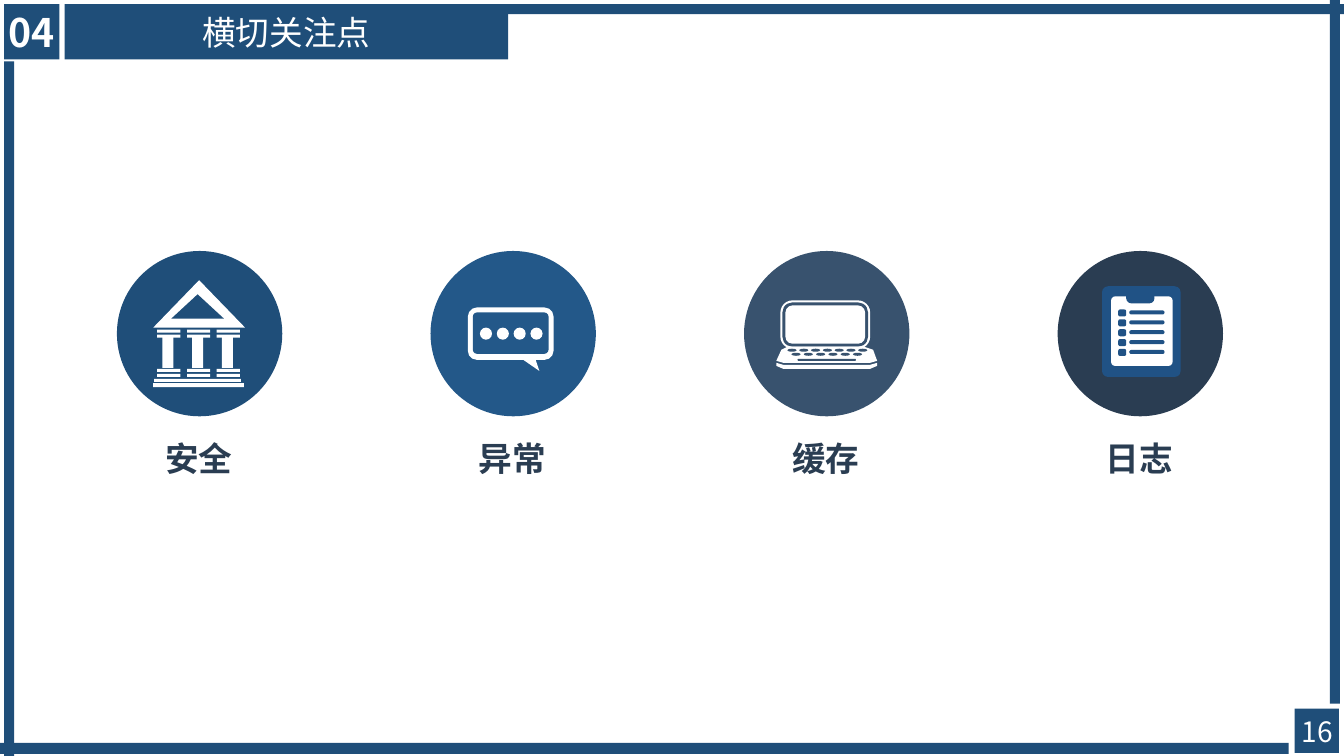
from dataclasses import dataclass
from typing import Any

from lxml.etree import SubElement
from pptx import Presentation
from pptx.dml.color import RGBColor
from pptx.enum.shapes import MSO_SHAPE as SHAPE
from pptx.enum.text import MSO_ANCHOR as ANCHOR, MSO_AUTO_SIZE as AUTO, PP_ALIGN as ALIGN
from pptx.oxml.ns import qn
from pptx.util import Inches, Pt

CELL = Inches(0.01)  # the slide is a grid of 1333 x 750 cells
COLS, ROWS = 1333, 750
FONT = "Noto Sans CJK SC"

NAVY = RGBColor(0x1F, 0x4E, 0x79)
BLUE = RGBColor(0x23, 0x58, 0x89)
SLATE = RGBColor(0x38, 0x52, 0x6E)
INK = RGBColor(0x2A, 0x3D, 0x52)
BOARD = RGBColor(0x20, 0x52, 0x85)
WHITE = RGBColor(0xFF, 0xFF, 0xFF)

CIRCLE, CIRCLE_TOP, LABEL_TOP = 164, 249, 430
FIRST_COL, COL_STEP, LABEL_INDENT = 116, 311, 38


def cells(*counts):
    return [round(n * CELL) for n in counts]


def paint(shape, color):
    shape.shadow.inherit = False
    shape.fill.solid()
    shape.fill.fore_color.rgb = color
    shape.line.fill.background()
    return shape


@dataclass
class Pen:
    """Draws filled shapes, in cells counted from the corner (left, top)."""
    shapes: Any
    left: float = 0
    top: float = 0

    def shape(self, kind, x, y, w, h, color):
        box = cells(self.left + x, self.top + y, w, h)
        return paint(self.shapes.add_shape(kind, *box), color)

    def rect(self, *box_color):
        return self.shape(SHAPE.RECTANGLE, *box_color)

    def oval(self, *box_color):
        return self.shape(SHAPE.OVAL, *box_color)

    def rounded(self, x, y, w, h, color, radius):
        sp = self.shape(SHAPE.ROUNDED_RECTANGLE, x, y, w, h, color)
        sp.adjustments[0] = min(radius / min(w, h), 0.5)

    def polygon(self, points, color):
        start, *rest = [(self.left + x, self.top + y) for x, y in points]
        builder = self.shapes.build_freeform(*start, scale=CELL)
        builder.add_line_segments(rest, close=True)
        paint(builder.convert_to_shape(), color)


def write(sp, text, size, color, bold=False, align=ALIGN.CENTER):
    tf = sp.text_frame
    tf.text = text
    p = tf.paragraphs[0]
    p.alignment = align
    font = p.runs[0].font
    font.size, font.bold = Pt(size), bold
    font.color.rgb = color
    font.name = FONT
    SubElement(font._element, qn("a:ea"), typeface=FONT)
    return tf


def add_label(s, text, box, size, color, **style):
    sp = s.shapes.add_textbox(*cells(*box))
    tf = write(sp, text, size, color, **style)
    tf.word_wrap = False
    tf.auto_size = AUTO.SHAPE_TO_FIT_TEXT


def draw_bank(pen, back):
    pen.shape(SHAPE.ISOSCELES_TRIANGLE, 36, 29, 91, 47, WHITE)
    pen.shape(SHAPE.ISOSCELES_TRIANGLE, 54, 43, 52, 24, back)
    for i in range(3):
        x = 40 + 29.5 * i
        for y in (78, 83, 117, 122):
            pen.rect(x, y, 23, 3, WHITE)
        pen.rect(x + 5, 85, 11, 31, WHITE)
    pen.rect(37, 127, 86, 3, WHITE)
    pen.rect(36, 131, 90, 4, WHITE)


def draw_chat(pen, back):
    pen.rounded(37, 56, 85, 52, WHITE, 9)
    pen.rounded(42, 61, 75, 41, back, 4)
    pen.polygon([(92, 107), (92, 108), (108, 119), (104, 107)], WHITE)
    for i in range(4):
        pen.oval(49 + 16.7 * i, 76, 12, 12, WHITE)


def draw_laptop(pen, back):
    for inset, color in ((0, WHITE), (2, back), (5, WHITE)):
        pen.rounded(36 + inset, 49 + inset, 89 - 2 * inset, 48 - 2 * inset, color, 12 - inset)
    pen.polygon([(32, 109), (37, 98), (43, 95), (119, 95), (128, 98),
                 (132, 109), (125, 111), (39, 111)], WHITE)
    for count, x, y, step in ((7, 43, 97, 11.7), (6, 47, 101, 12.2)):
        for i in range(count):
            pen.oval(x + step * i, y, 9, 3, back)
    pen.rounded(53, 107, 58, 2, back, 1)
    pen.polygon([(32, 111), (39, 113), (125, 113), (132, 111),
                 (132, 114), (125, 117), (39, 117), (32, 114)], WHITE)


def draw_clipboard(pen, back):
    pen.rounded(44, 35, 78, 90, BOARD, 6)
    pen.rounded(53, 45, 61, 69, WHITE, 4)
    for i in range(5):
        y = 58 + 9.8 * i
        pen.rounded(71, y + 1, 35, 4, BOARD, 2)
        pen.rounded(60, y, 8, 7, BOARD, 2)
    pen.rounded(68, 39, 28, 13, BOARD, 5)


def add_concern(s, column, text, color, draw_icon):
    left = FIRST_COL + COL_STEP * column
    pen = Pen(s.shapes.add_group_shape().shapes, left, CIRCLE_TOP)
    pen.oval(0, 0, CIRCLE, CIRCLE, color)
    draw_icon(pen, color)
    add_label(s, text, (left + LABEL_INDENT, LABEL_TOP, 87, 50), 24, INK,
              bold=True, align=ALIGN.LEFT)


def add_frame(s):
    pen = Pen(s.shapes)
    pen.rect(77, 4, COLS - 77, 10, NAVY)
    pen.rect(0, 737, 1278, 11, NAVY)
    pen.rect(1319, 0, 10, 698, NAVY)
    pen.rect(4, 61, 10, ROWS - 61, NAVY)
    pen.rect(1284, 703, 44, 44, NAVY)
    add_label(s, "16", (1280, 704, 53, 44), 20, WHITE)
    tf = write(pen.rect(4, 4, 55, 55, NAVY), "04", 28, WHITE, bold=True)
    tf.margin_left = tf.margin_right = tf.margin_top = tf.margin_bottom = 0
    tf.vertical_anchor = ANCHOR.MIDDLE


def set_title(s, text):
    title = s.shapes.title
    title.left, title.top, title.width, title.height = cells(64, 4, 440, 55)
    title.fill.solid()
    title.fill.fore_color.rgb = NAVY
    tf = write(title, text, 24, WHITE)
    tf.vertical_anchor = ANCHOR.MIDDLE
    tf.auto_size = AUTO.NONE


def main():
    prs = Presentation()
    prs.slide_width, prs.slide_height = cells(COLS, ROWS)
    s = prs.slides.add_slide(prs.slide_layouts[5])
    set_title(s, "横切关注点")
    add_frame(s)
    concerns = [
        ("安全", NAVY, draw_bank),
        ("异常", BLUE, draw_chat),
        ("缓存", SLATE, draw_laptop),
        ("日志", INK, draw_clipboard),
    ]
    for column, concern in enumerate(concerns):
        add_concern(s, column, *concern)
    prs.save("out.pptx")


if __name__ == "__main__":
    main()
